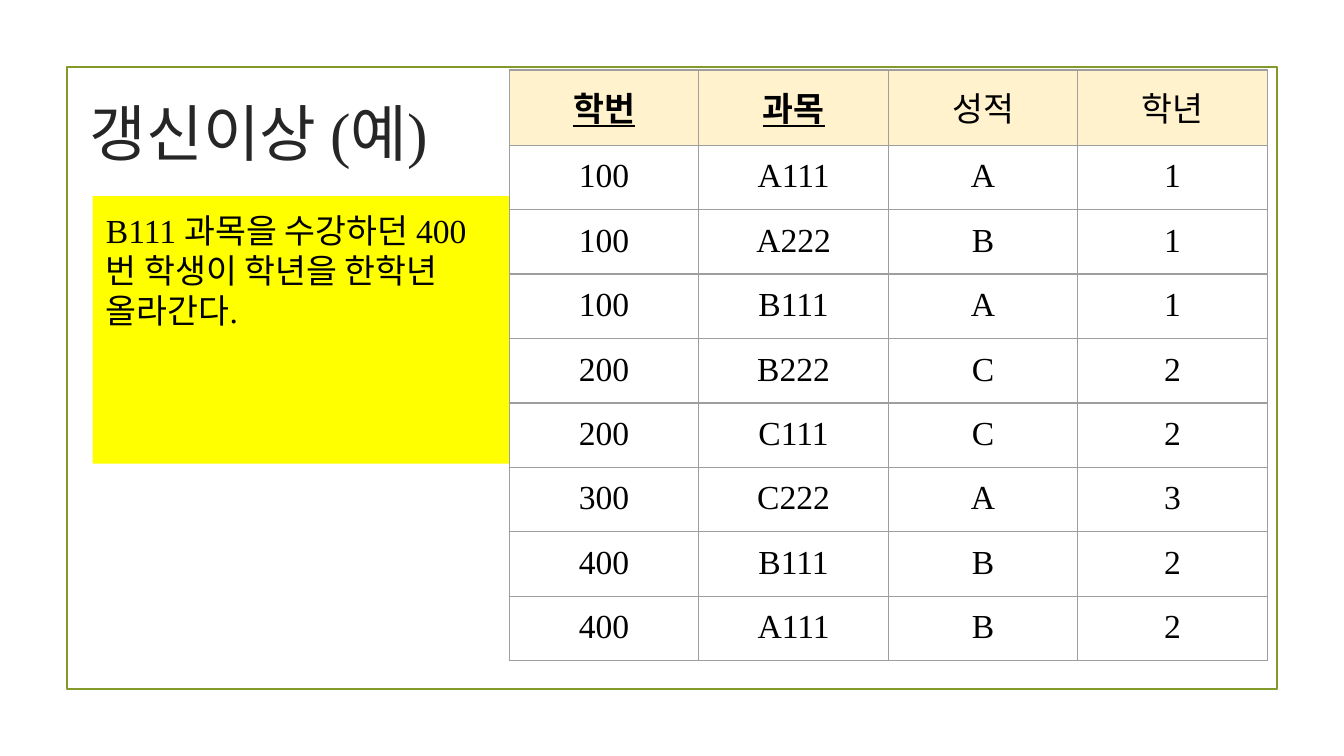
from lxml.etree import SubElement
from pptx import Presentation
from pptx.dml.color import RGBColor
from pptx.enum.shapes import MSO_SHAPE
from pptx.enum.text import MSO_ANCHOR, PP_ALIGN
from pptx.oxml.ns import qn
from pptx.util import Inches, Pt

WIDE = Inches(10)
HIGH = WIDE * 9 // 16
FONT = "Times New Roman"
PAD = Inches(0.1)
OLIVE = RGBColor(0x83, 0x99, 0x2A)
YELLOW = RGBColor(0xFF, 0xFF, 0x00)
CREAM = RGBColor(0xFF, 0xF2, 0xCC)
GRAY = RGBColor(0x9E, 0x9E, 0x9E)
DARK = RGBColor(0x26, 0x26, 0x26)
BLACK = RGBColor(0, 0, 0)

HEAD = ["학번", "과목", "성적", "학년"]
KEYS = 2
GRADES = [
    ["100", "A111", "A", "1"],
    ["100", "A222", "B", "1"],
    ["100", "B111", "A", "1"],
    ["200", "B222", "C", "2"],
    ["200", "C111", "C", "2"],
    ["300", "C222", "A", "3"],
    ["400", "B111", "B", "2"],
    ["400", "A111", "B", "2"],
]
COL, TOP, ROW = Inches(1.41), Inches(0.56), Pt(34.3)


def style(para, size, color, bold=False, under=False):
    font = para.font
    font.name, font.size = FONT, Pt(size)
    font.bold, font.underline = bold, under
    font.color.rgb = color


def add_frame(slide):
    edge = Inches(0.5)
    frame = slide.shapes.add_shape(
        MSO_SHAPE.RECTANGLE, edge, edge, WIDE - 2 * edge, Inches(4.63))
    frame.shadow.inherit = False
    frame.fill.background()
    frame.line.color.rgb = OLIVE
    frame.line.width = Pt(1.25)


def add_text(slide, text, place, size, color, anchor):
    box = slide.shapes.add_textbox(*map(Inches, place))
    body = box.text_frame
    body.word_wrap = True
    body.vertical_anchor = anchor
    body.margin_left = body.margin_right = PAD
    body.margin_top = body.margin_bottom = PAD
    body.text = text
    style(body.paragraphs[0], size, color)
    return box


def add_note(slide):
    note = add_text(
        slide, "B111 과목을 수강하던 400번 학생이 학년을 한학년 올라간다.",
        (0.69, 1.46, 3.1, 1.99), 18, BLACK, MSO_ANCHOR.TOP)
    note.fill.solid()
    note.fill.fore_color.rgb = YELLOW
    note.text_frame.paragraphs[0].space_after = Pt(16)


def add_edges(cell):
    """Draw a thin line on all four sides of the cell."""
    props = cell._tc.get_or_add_tcPr()
    for n, side in enumerate(("lnL", "lnR", "lnT", "lnB")):
        line = SubElement(props, qn(f"a:{side}"), w=str(Pt(0.75)))
        props.insert(n, line)
        fill = SubElement(line, qn("a:solidFill"))
        SubElement(fill, qn("a:srgbClr"), val=str(GRAY))


def fill_cell(cell, text, top, key):
    cell.text = text
    cell.vertical_anchor = MSO_ANCHOR.MIDDLE
    cell.margin_left = cell.margin_right = PAD
    cell.margin_top = cell.margin_bottom = PAD
    para = cell.text_frame.paragraphs[0]
    para.alignment = PP_ALIGN.CENTER
    para.line_spacing = 0.93
    style(para, 18, BLACK, key, key)
    if top:
        cell.fill.solid()
        cell.fill.fore_color.rgb = CREAM
    else:
        cell.fill.background()
    add_edges(cell)


def add_grades(slide):
    rows = [HEAD, *GRADES]
    table = slide.shapes.add_table(
        len(rows), len(HEAD), Inches(3.79), Inches(0.52),
        COL * len(HEAD), TOP + ROW * len(GRADES)).table
    table.horz_banding = False
    for r, row in enumerate(rows):
        top = r == 0
        table.rows[r].height = TOP if top else ROW
        for c, text in enumerate(row):
            fill_cell(table.cell(r, c), text, top, top and c < KEYS)


def main():
    deck = Presentation()
    deck.slide_width, deck.slide_height = WIDE, HIGH
    slide = deck.slides.add_slide(deck.slide_layouts[6])
    add_frame(slide)
    add_text(slide, "갱신이상 (예)", (0.57, 0.6, 3.55, 0.77),
             33, DARK, MSO_ANCHOR.MIDDLE)
    add_note(slide)
    add_grades(slide)
    deck.save("out.pptx")


if __name__ == "__main__":
    main()
